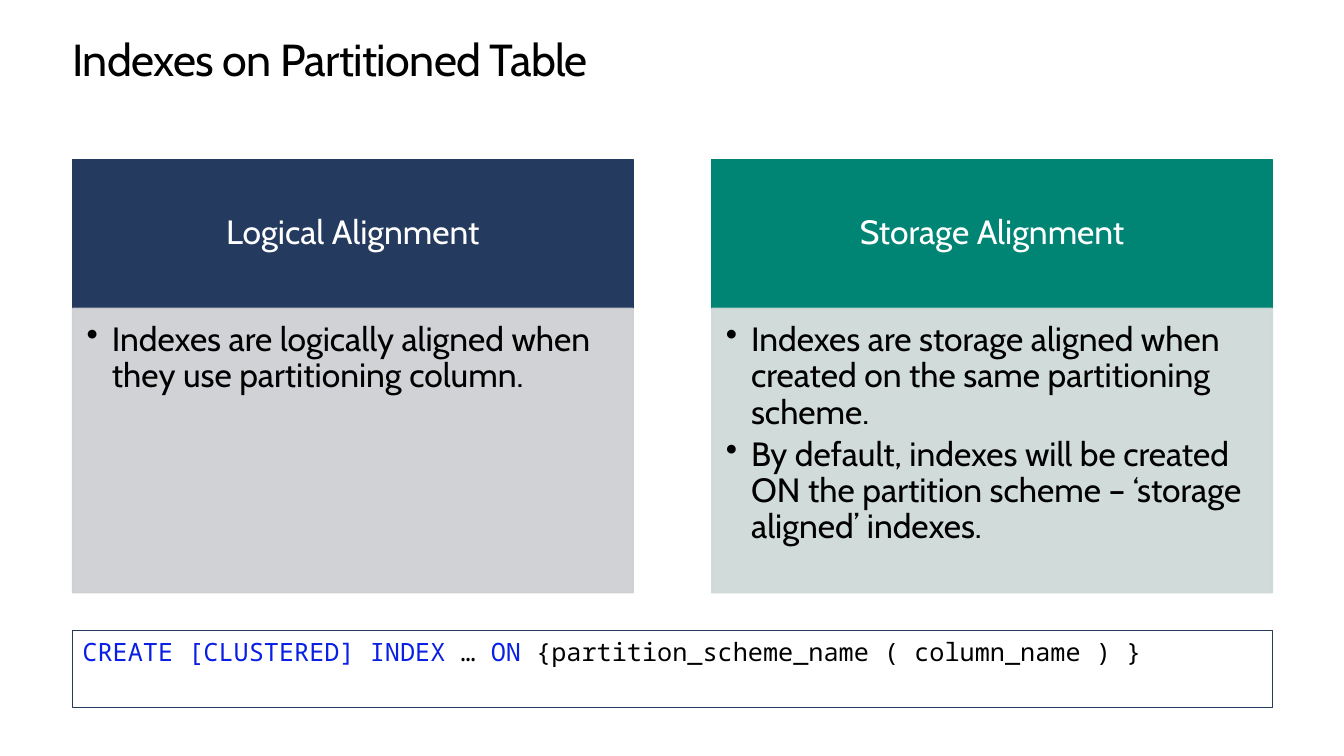
"""Build the slide on indexes of a partitioned table."""
from dataclasses import dataclass

from lxml.etree import SubElement as Sub
from pptx import Presentation
from pptx.dml.color import RGBColor as RGB
from pptx.enum.shapes import MSO_SHAPE as Shape
from pptx.enum.text import MSO_ANCHOR as Anchor, PP_ALIGN as Align
from pptx.oxml.ns import qn
from pptx.util import Inches, Pt


@dataclass
class Theme:
    white: str = "FFFFFF"
    black: str = "000000"
    navy: str = "243A5E"
    gray: str = "CDCED2"
    teal: str = "008575"
    mint: str = "CCD9D6"
    blue: str = "0A1FE4"
    sans: str = "Cabin"
    mono: str = "Noto Sans Mono"
    title: int = 32
    body: int = 24
    code: int = 18


theme = Theme()


def add_box(at, fill, line, width, pads, anchor=Anchor.TOP):
    box = slide.shapes.add_shape(Shape.RECTANGLE, *map(Inches, at))
    box.shadow.inherit = False
    if fill:
        box.fill.solid()
        box.fill.fore_color.rgb = RGB.from_string(fill)
    else:
        box.fill.background()
    box.line.color.rgb = RGB.from_string(line)
    box.line.width = Pt(width)
    frame = box.text_frame
    look = dict(zip(("margin_left", "margin_top", "margin_right", "margin_bottom"), map(Inches, pads)))
    look.update(word_wrap=True, vertical_anchor=anchor)
    for key, val in look.items():
        setattr(frame, key, val)
    return box


def add_run(para, text, face, size, color):
    run = para.add_run()
    run.text = text
    run.font.name = face
    run.font.size = Pt(size)
    run.font.color.rgb = RGB.from_string(color)
    return run


deck = Presentation()
deck.slide_width, deck.slide_height = Inches(13.33), Inches(7.5)
slide = deck.slides.add_slide(deck.slide_layouts[6])

left, full, wide = 0.72, 11.9, 5.56
top, head_high, body_high = 1.58, 1.48, 2.82

title = slide.shapes.add_textbox(*map(Inches, (left, 0.35, full, 0.5))).text_frame
for key in ("margin_left", "margin_top", "margin_right", "margin_bottom"):
    setattr(title, key, 0)
title.word_wrap = True
para = title.paragraphs[0]
para.line_spacing = Pt(36.2)
run = add_run(para, "Indexes on Partitioned Table", theme.sans, theme.title, theme.black)
run.font._element.set("spc", "-50")

cards = [
    ("Logical Alignment", theme.navy, theme.gray,
     ["Indexes are logically aligned when they use partitioning column."]),
    ("Storage Alignment", theme.teal, theme.mint,
     ["Indexes are storage aligned when created on the same partitioning scheme.",
      "By default, indexes will be created ON the partition scheme – ‘storage aligned’ indexes."]),
]
for col, (name, dark, pale, points) in enumerate(cards):
    x = left + col * (full - wide)
    head = add_box((x, top, wide, head_high), dark, dark, 1,
                   (0.19, 0.11, 0.19, 0.11), Anchor.MIDDLE)
    para = head.text_frame.paragraphs[0]
    para.alignment = Align.CENTER
    para.line_spacing = 0.9
    add_run(para, name, theme.sans, theme.body, theme.white)

    body = add_box((x, top + head_high, wide, body_high), pale, pale, 1,
                   (0.14, 0.14, 0.19, 0.21))
    for color in body._element.spPr.iter(qn("a:srgbClr")):
        Sub(color, qn("a:alpha"), val="90000")
    frame = body.text_frame
    for row, point in enumerate(points):
        para = frame.add_paragraph() if row else frame.paragraphs[0]
        para.alignment = Align.LEFT
        para.line_spacing = 0.9
        para.space_after = Pt(4)
        props = para._p.get_or_add_pPr()
        props.set("marL", str(Inches(0.25)))
        props.set("indent", str(Inches(-0.25)))
        Sub(props, qn("a:buChar"), char="•")
        add_run(para, point, theme.sans, theme.body, theme.black)

code = add_box((left, 6.26, full, 0.76), None, theme.navy, 0.75, (0.1, 0.05, 0.1, 0.05))
para = code.text_frame.paragraphs[0]
para.alignment = Align.LEFT
for text, color in [
    ("CREATE [CLUSTERED] INDEX", theme.blue),
    (" … ", theme.black),
    ("ON ", theme.blue),
    ("{partition_scheme_name ( column_name ) }", theme.black),
]:
    add_run(para, text, theme.mono, theme.code, color)

deck.save("out.pptx")
